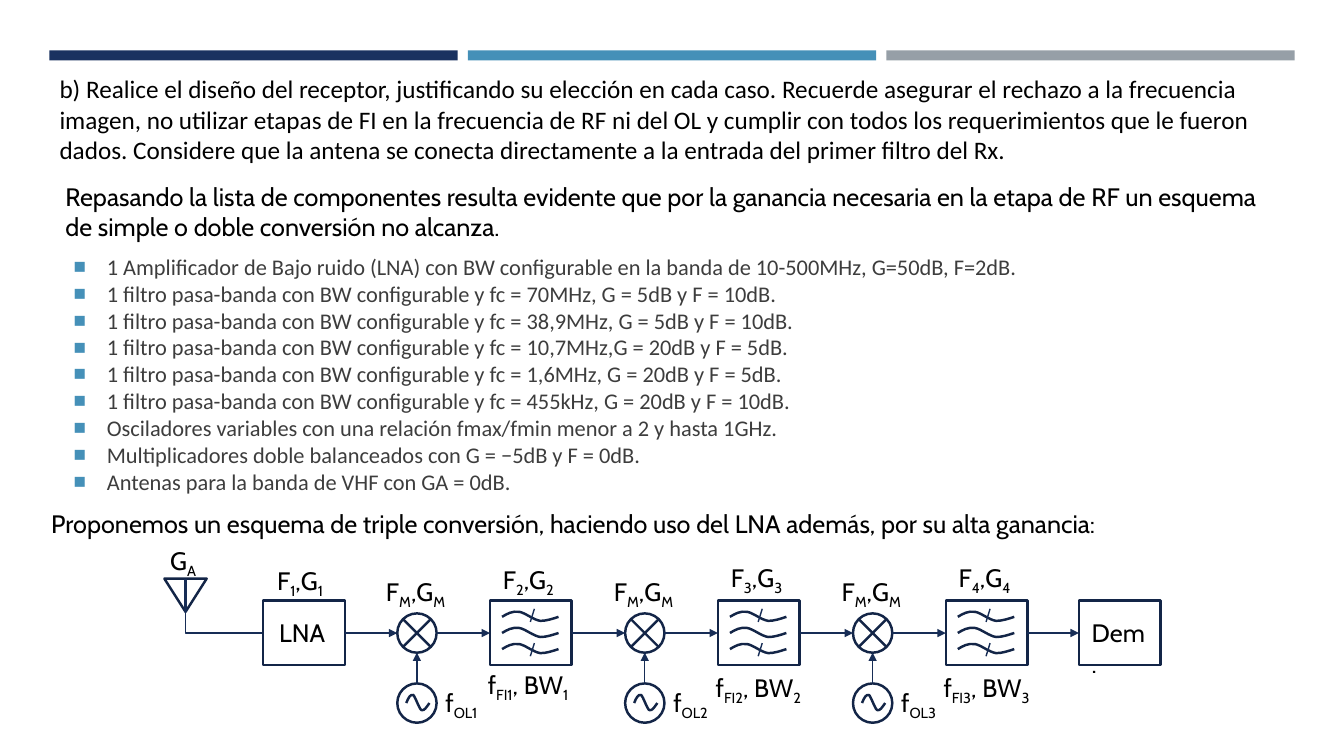
from lxml import etree
from pptx import Presentation
from pptx import util as u
from pptx.dml.color import RGBColor
from pptx.enum import shapes, text
from pptx.oxml import ns

COLORS = {
    "navy": "1A3260", "blue": "4590B8", "grey": "969FA7", "outline": "132547",
    "wire": "172D56", "black": "000000", "list": "3D3D3D",
}

STATEMENT = (
    "b) Realice el diseño del receptor, justificando su elección en cada caso. "
    "Recuerde asegurar el rechazo a la frecuencia imagen, no utilizar etapas de FI "
    "en la frecuencia de RF ni del OL y cumplir con todos los requerimientos que le "
    "fueron dados. Considere que la antena se conecta directamente a la entrada del "
    "primer filtro del Rx."
)
REVIEW = (
    "Repasando la lista de componentes resulta evidente que por la ganancia necesaria "
    "en la etapa de RF un esquema de simple o doble conversión no alcanza."
)
PROPOSAL = (
    "Proponemos un esquema de triple conversión, haciendo uso del LNA además, "
    "por su alta ganancia:"
)
COMPONENTS = [
    "1 Amplificador de Bajo ruido (LNA) con BW configurable en la banda de 10-500MHz, G=50dB, F=2dB.",
    "1 filtro pasa-banda con BW configurable y fc = 70MHz, G = 5dB y F = 10dB.",
    "1 filtro pasa-banda con BW configurable y fc = 38,9MHz, G = 5dB y F = 10dB.",
    "1 filtro pasa-banda con BW configurable y fc = 10,7MHz,G = 20dB y F = 5dB.",
    "1 filtro pasa-banda con BW configurable y fc = 1,6MHz, G = 20dB y F = 5dB.",
    "1 filtro pasa-banda con BW configurable y fc = 455kHz, G = 20dB y F = 10dB.",
    "Osciladores variables con una relación fmax/fmin menor a 2 y hasta 1GHz.",
    "Multiplicadores doble balanceados con G = −5dB y F = 0dB.",
    "Antenas para la banda de VHF con GA = 0dB.",
]

# Diagram geometry, in inches
MID = 6.28
BOX_W, BOX_H = 0.81, 0.64
CIRCLE = 0.39
STAGE_PITCH = 2.26
LNA_X, MIXER_X, FILTER_X, DEM_X = 2.61, 3.94, 4.86, 10.7
OSC_TOP = 6.78
# Tops of the gain label and of the band label in each stage
STAGE_LABEL_TOPS = [(5.55, 6.59), (5.53, 6.62), (5.53, 6.62)]

# Bezier points relative to the start of each wave
FILTER_WAVE = [(0, 0), (0.05, -0.03), (0.1, -0.06), (0.17, -0.05), (0.23, -0.04),
               (0.31, 0.03), (0.38, 0.04), (0.44, 0.04), (0.5, 0.02), (0.56, 0)]
OSC_WAVE = [(0, 0), (0.02, -0.05), (0.04, -0.09), (0.07, -0.08), (0.09, -0.06),
            (0.13, 0.06), (0.15, 0.07), (0.18, 0.08), (0.2, 0.04), (0.23, 0)]


def rgb(name):
    return RGBColor.from_string(COLORS[name])


def place(shape, left, top, width, height):
    shape.left, shape.top = u.Inches(left), u.Inches(top)
    shape.width, shape.height = u.Inches(width), u.Inches(height)


def add_run(paragraph, words, font="Cabin", size=18, color="black", subscript=False):
    run = paragraph.add_run()
    run.text = words
    run.font.name, run.font.size = font, u.Pt(size)
    run.font.color.rgb = rgb(color)
    if subscript:
        run._r.get_or_add_rPr().set("baseline", "-25000")


def add_statement(slide):
    title = slide.shapes.title
    place(title, 0.49, 0.68, 12.35, 1.01)
    frame = title.text_frame
    frame.word_wrap = True
    frame.auto_size = text.MSO_AUTO_SIZE.SHAPE_TO_FIT_TEXT
    frame.vertical_anchor = text.MSO_ANCHOR.TOP
    frame.paragraphs[0].alignment = text.PP_ALIGN.LEFT
    add_run(frame.paragraphs[0], STATEMENT, "Calibri")


def add_bullet(paragraph):
    props = paragraph._p.get_or_add_pPr()
    props.set("marL", str(u.Inches(0.33)))
    props.set("indent", str(u.Inches(-0.33)))
    color = etree.SubElement(props, ns.qn("a:buClr"))
    etree.SubElement(color, ns.qn("a:srgbClr"), val=COLORS["blue"])
    etree.SubElement(props, ns.qn("a:buSzPct"), val="92000")
    etree.SubElement(props, ns.qn("a:buChar"), char="■")


def add_components(slide):
    body = slide.placeholders[1]
    place(body, 0.63, 2.46, 12.06, 2.9)
    frame = body.text_frame
    frame.auto_size = text.MSO_AUTO_SIZE.NONE
    frame.vertical_anchor = text.MSO_ANCHOR.TOP
    for i, component in enumerate(COMPONENTS):
        item = frame.add_paragraph() if i else frame.paragraphs[0]
        item.line_spacing = 1.0
        item.space_before = item.space_after = u.Pt(0)
        add_bullet(item)
        add_run(item, component, "Calibri", 16, "list")


def add_text(canvas, left, top, width, height, parts, wrap=False):
    """Every second part is a subscript."""
    box = canvas.shapes.add_textbox(*map(u.Inches, (left, top, width, height)))
    box.text_frame.word_wrap = wrap
    box.text_frame.auto_size = text.MSO_AUTO_SIZE.SHAPE_TO_FIT_TEXT
    for i, part in enumerate(parts):
        add_run(box.text_frame.paragraphs[0], part, subscript=i % 2 == 1)


def outline(shape):
    shape.shadow.inherit = False
    shape.fill.background()
    shape.line.color.rgb = rgb("outline")
    shape.line.width = u.Pt(1.75)


def add_symbol(canvas, kind, left, top, width, height):
    symbol = canvas.shapes.add_shape(kind, *map(u.Inches, (left, top, width, height)))
    outline(symbol)
    return symbol


def add_block(canvas, left):
    return add_symbol(canvas, shapes.MSO_SHAPE.RECTANGLE, left, MID - BOX_H / 2, BOX_W, BOX_H)


def add_wave(canvas, left, middle, bezier):
    points = [(u.Inches(left + x), u.Inches(middle + y)) for x, y in bezier]
    builder = canvas.shapes.build_freeform(*points[0])
    builder.add_line_segments(points[1:], close=False)
    wave = builder.convert_to_shape()
    # Each three straight segments become one cubic curve
    segments = list(wave._element.iter(ns.qn("a:lnTo")))
    for k in range(0, len(segments), 3):
        curve = etree.SubElement(segments[k].getparent(), ns.qn("a:cubicBezTo"))
        for segment in segments[k:k + 3]:
            curve.append(segment[0])
            segment.getparent().remove(segment)
    outline(wave)


def add_wire(canvas, start, end, width=1, arrow=False, source=None, target=None,
             kind=shapes.MSO_CONNECTOR.STRAIGHT):
    wire = canvas.shapes.add_connector(kind, *map(u.Inches, (*start, *end)))
    wire.line.color.rgb = rgb("wire")
    wire.line.width = u.Pt(width)
    if arrow:
        etree.SubElement(wire.line._get_or_add_ln(), ns.qn("a:tailEnd"), type="triangle")
    etree.SubElement(wire._element.spPr, ns.qn("a:effectLst"))
    if source is not None:
        wire.begin_connect(source, 3)
    if target is not None:
        wire.end_connect(target, 1)
    return wire


def add_antenna(canvas):
    triangle = add_symbol(canvas, shapes.MSO_SHAPE.ISOSCELES_TRIANGLE, 1.63, 5.74, 0.42, 0.33)
    triangle.rotation = 180
    add_wire(canvas, (1.84, 6.07), (1.84, 5.74), 1.5)
    # One-corner feed line from the antenna to the LNA
    feed = add_wire(canvas, (1.84, 6.07), (LNA_X, MID), kind=shapes.MSO_CONNECTOR.ELBOW)
    feed._element.spPr.find(ns.qn("a:prstGeom")).set("prst", "bentConnector2")
    feed._element.spPr.find(ns.qn("a:xfrm")).set("rot", "10800000")
    add_text(canvas, 1.59, 5.36, 0.5, 0.4, ["G", "A"])


def add_stage(canvas, index, previous):
    """Mixer, oscillator and filter of one conversion; returns the filter block."""
    shift, number = index * STAGE_PITCH, str(index + 1)
    mixer_x, filter_x = MIXER_X + shift, FILTER_X + shift
    gain_top, band_top = STAGE_LABEL_TOPS[index]
    axis = mixer_x + CIRCLE / 2

    add_symbol(canvas, shapes.MSO_SHAPE.FLOWCHART_SUMMING_JUNCTION,
               mixer_x, MID - CIRCLE / 2, CIRCLE, CIRCLE)
    add_symbol(canvas, shapes.MSO_SHAPE.OVAL, mixer_x, OSC_TOP, CIRCLE, CIRCLE)
    add_wave(canvas, mixer_x + 0.09, OSC_TOP + CIRCLE / 2, OSC_WAVE)

    band_filter = add_block(canvas, filter_x)
    for offset in (-0.16, 0, 0.16):
        add_wave(canvas, filter_x + 0.12, MID + offset, FILTER_WAVE)
    for top in (6.04, 6.38):
        add_wire(canvas, (filter_x + 0.44, top), (filter_x + 0.4, top + 0.13))

    add_wire(canvas, (mixer_x - 0.53, MID), (mixer_x, MID), arrow=True, source=previous)
    add_wire(canvas, (mixer_x + CIRCLE, MID), (filter_x, MID), arrow=True, target=band_filter)
    add_wire(canvas, (axis, OSC_TOP), (axis, MID + CIRCLE / 2), arrow=True)

    add_text(canvas, mixer_x - 0.21, 5.67, 0.83, 0.4, ["F", "M", ",G", "M"])
    gain = str(index + 2)
    add_text(canvas, filter_x + 0.03, gain_top, 0.73, 0.4, ["F", gain, ",G", gain])
    add_text(canvas, filter_x - 0.12, band_top, 1.06, 0.4, ["f", "FI" + number, ", BW", number])
    add_text(canvas, mixer_x + 0.38, 6.77, 0.57, 0.4, ["f", "OL" + number])
    return band_filter


def add_receiver(slide):
    diagram = slide.shapes.add_group_shape()
    add_antenna(diagram)
    last = add_block(diagram, LNA_X)
    add_text(diagram, 2.67, 6.08, 0.69, 0.4, ["LNA"])
    add_text(diagram, 2.65, 5.56, 0.73, 0.4, ["F", "1", ",G", "1"])
    for index in range(len(STAGE_LABEL_TOPS)):
        last = add_stage(diagram, index, last)
    demodulator = add_block(diagram, DEM_X)
    add_text(diagram, 10.73, 6.08, 0.76, 0.4, ["Dem."])
    add_wire(diagram, (10.18, MID), (DEM_X, MID), arrow=True, source=last, target=demodulator)


def add_header_bars(slide):
    for i, color in enumerate(("navy", "blue", "grey")):
        bar = add_symbol(slide, shapes.MSO_SHAPE.RECTANGLE, 0.49 + 4.15 * i, 0.5, 4.05, 0.1)
        bar.fill.solid()
        bar.fill.fore_color.rgb = rgb(color)
        bar.line.fill.background()


def main():
    deck = Presentation()
    deck.slide_width, deck.slide_height = u.Inches(13.33), u.Inches(7.5)
    slide = deck.slides.add_slide(deck.slide_layouts[1])
    add_header_bars(slide)
    add_statement(slide)
    add_text(slide, 0.55, 1.75, 12.29, 0.71, [REVIEW], wrap=True)
    add_components(slide)
    add_text(slide, 0.41, 4.99, 12.29, 0.4, [PROPOSAL], wrap=True)
    add_receiver(slide)
    deck.save("out.pptx")


if __name__ == "__main__":
    main()
